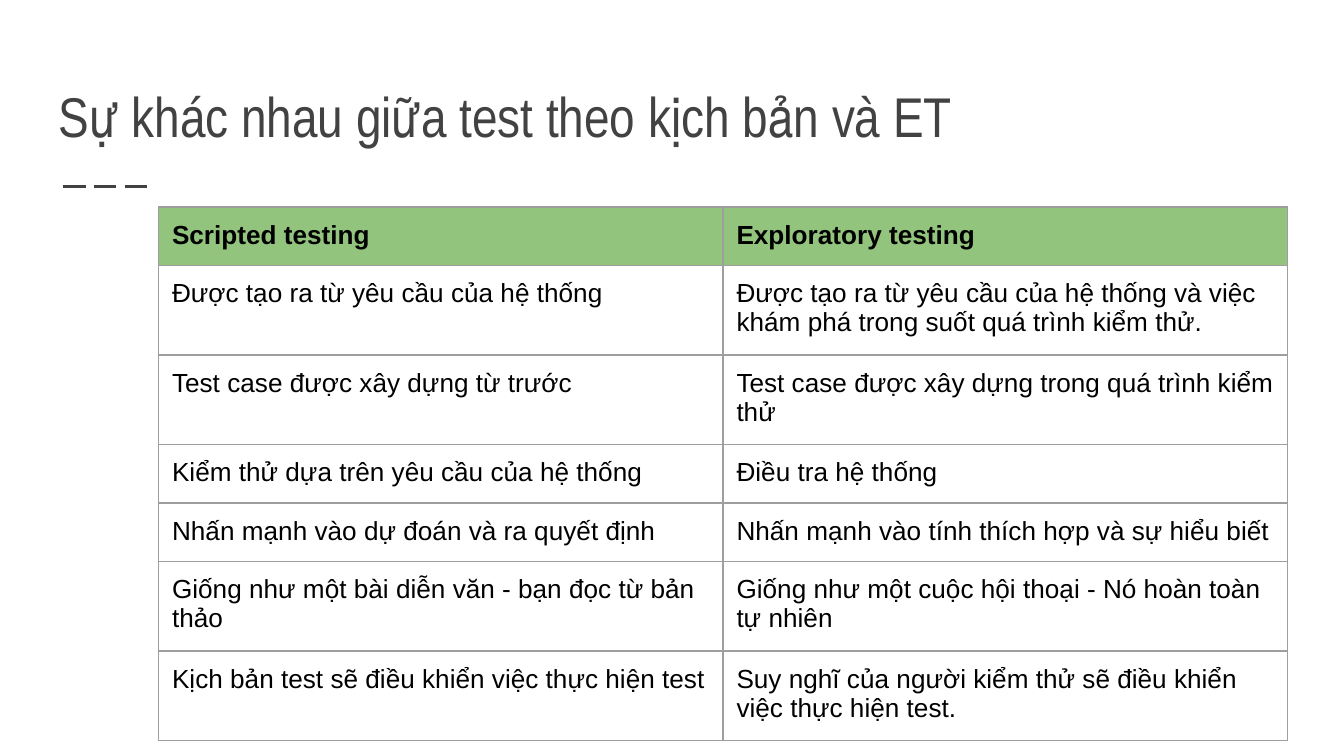
from lxml.etree import SubElement
from pptx import Presentation
from pptx.dml.color import RGBColor
from pptx.enum.dml import MSO_LINE
from pptx.enum.shapes import MSO_CONNECTOR
from pptx.enum.text import MSO_ANCHOR
from pptx.oxml.ns import qn
from pptx.util import Inches, Pt

WIDTH = Inches(10)
HEIGHT = WIDTH * 9 // 16
PAD = Inches(0.1)
ROW_HEIGHT = Inches(0.42)
COLORS = {"title": "424242", "text": "000000", "header": "93C47D", "border": "9E9E9E"}
TITLE = "Sự khác nhau giữa test theo kịch bản và ET"
ROWS = [
    ("Scripted testing", "Exploratory testing"),
    ("Được tạo ra từ yêu cầu của hệ thống",
     "Được tạo ra từ yêu cầu của hệ thống và việc khám phá trong suốt quá trình kiểm thử."),
    ("Test case được xây dựng từ trước",
     "Test case được xây dựng trong quá trình kiểm thử"),
    ("Kiểm thử dựa trên yêu cầu của hệ thống", "Điều tra hệ thống"),
    ("Nhấn mạnh vào dự đoán và ra quyết định",
     "Nhấn mạnh vào tính thích hợp và sự hiểu biết"),
    ("Giống như một bài diễn văn - bạn đọc từ bản thảo",
     "Giống như một cuộc hội thoại - Nó hoàn toàn tự nhiên"),
    ("Kịch bản test sẽ điều khiển việc thực hiện test",
     "Suy nghĩ của người kiểm thử sẽ điều khiển việc thực hiện test."),
]


def rgb(name):
    """Return the named colour of the palette."""
    return RGBColor.from_string(COLORS[name])


def box(left, top, width, height):
    """Turn inches on the slide into a box of lengths."""
    return tuple(Inches(v) for v in (left, top, width, height))


def set_margins(obj):
    """Give a text frame or a cell equal padding on all sides."""
    obj.margin_left = obj.margin_right = obj.margin_top = obj.margin_bottom = PAD


def set_font(p, name, size, color, bold=False):
    """Style every run of a paragraph."""
    p.font.name, p.font.size, p.font.bold = name, Pt(size), bold
    p.font.color.rgb = rgb(color)


def add_title(s, area):
    """Place the slide title at the bottom of its box."""
    s.shapes.title.left, s.shapes.title.top, s.shapes.title.width, s.shapes.title.height = area
    tf = s.shapes.title.text_frame
    tf.word_wrap = True
    tf.vertical_anchor = MSO_ANCHOR.BOTTOM
    set_margins(tf)
    tf.text = TITLE
    set_font(tf.paragraphs[0], "Arial Narrow", 30, "title")


def add_heading(s, area):
    """Place the heading text at the bottom of its box."""
    tf = s.shapes.add_textbox(*area).text_frame
    tf.word_wrap = True
    tf.vertical_anchor = MSO_ANCHOR.BOTTOM
    set_margins(tf)
    tf.text = TITLE
    set_font(tf.paragraphs[0], "Arial Narrow", 30, "title")


def add_rule(s, area):
    """Draw the dashed rule along the top of its box."""
    left, top, width, _ = area
    line = s.shapes.add_connector(MSO_CONNECTOR.STRAIGHT, left, top, left + width, top)
    line.line.color.rgb = rgb("title")
    line.line.width = Pt(1.5)
    line.line.dash_style = MSO_LINE.LONG_DASH
    SubElement(line._element.spPr, qn("a:effectLst"))


def add_borders(cell):
    """Outline all four sides of a cell."""
    tcPr = cell._tc.get_or_add_tcPr()
    for i, side in enumerate(("lnL", "lnR", "lnT", "lnB")):
        ln = tcPr.makeelement(qn(f"a:{side}"), {"w": str(Pt(0.75))})
        fill = SubElement(ln, qn("a:solidFill"))
        SubElement(fill, qn("a:srgbClr"), val=COLORS["border"])
        tcPr.insert(i, ln)


def add_comparison(s, area):
    """Place the two-column comparison table in its box."""
    frame = s.shapes.add_table(len(ROWS), len(ROWS[0]), *area)
    table = frame.table
    table.horz_banding = False
    for i, row in enumerate(ROWS):
        table.rows[i].height = ROW_HEIGHT
        for j, text in enumerate(row):
            cell = table.cell(i, j)
            cell.text = text
            set_margins(cell)
            set_font(cell.text_frame.paragraphs[0], "Arial", 14, "text", bold=i == 0)
            if i == 0:
                cell.fill.solid()
                cell.fill.fore_color.rgb = rgb("header")
            else:
                cell.fill.background()
            add_borders(cell)
    frame.height = area[3]


def main():
    """Build and save the slide."""
    prs = Presentation()
    prs.slide_width, prs.slide_height = WIDTH, HEIGHT
    s = prs.slides.add_slide(prs.slide_layouts[6])
    add_rule(s, box(0.47, 1.39, 0.67, 0))
    add_heading(s, box(0.34, 0.41, 9.32, 0.8))
    add_comparison(s, box(1.18, 1.54, 8.4, 3.97))
    prs.save("out.pptx")


if __name__ == "__main__":
    main()
